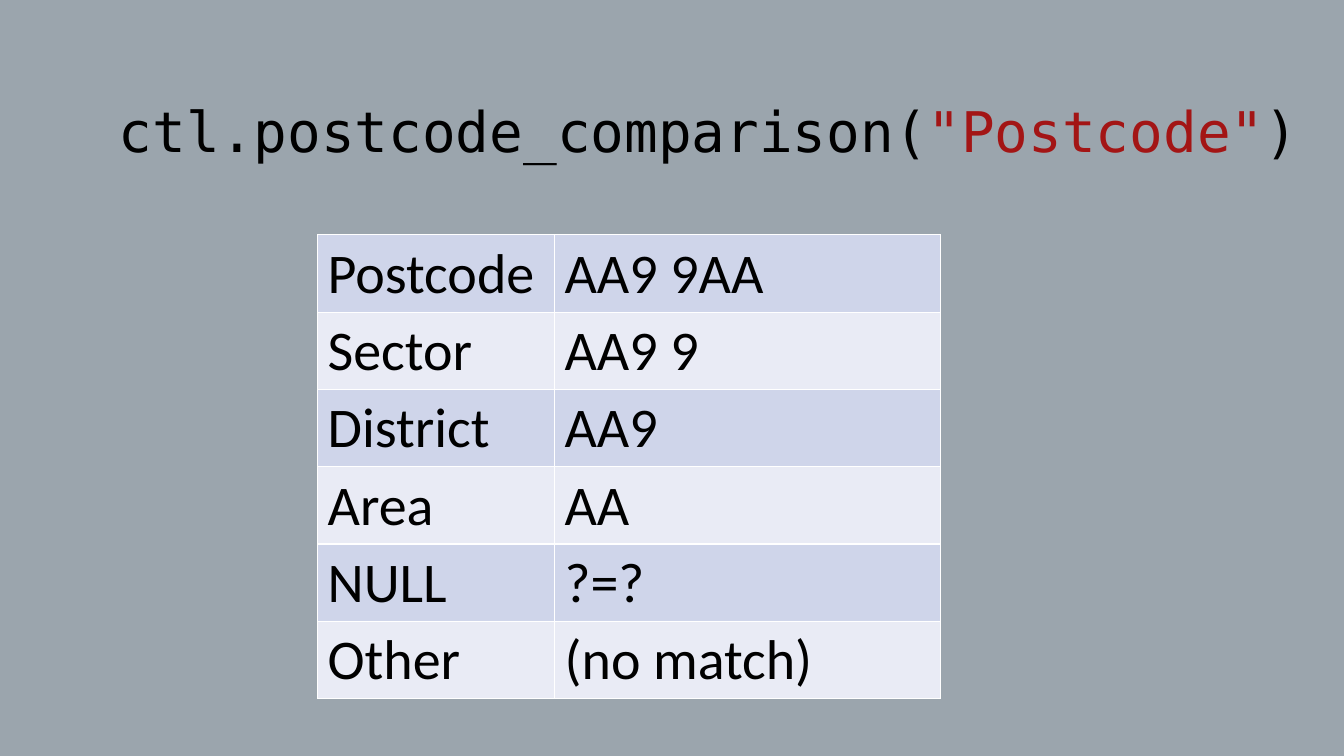
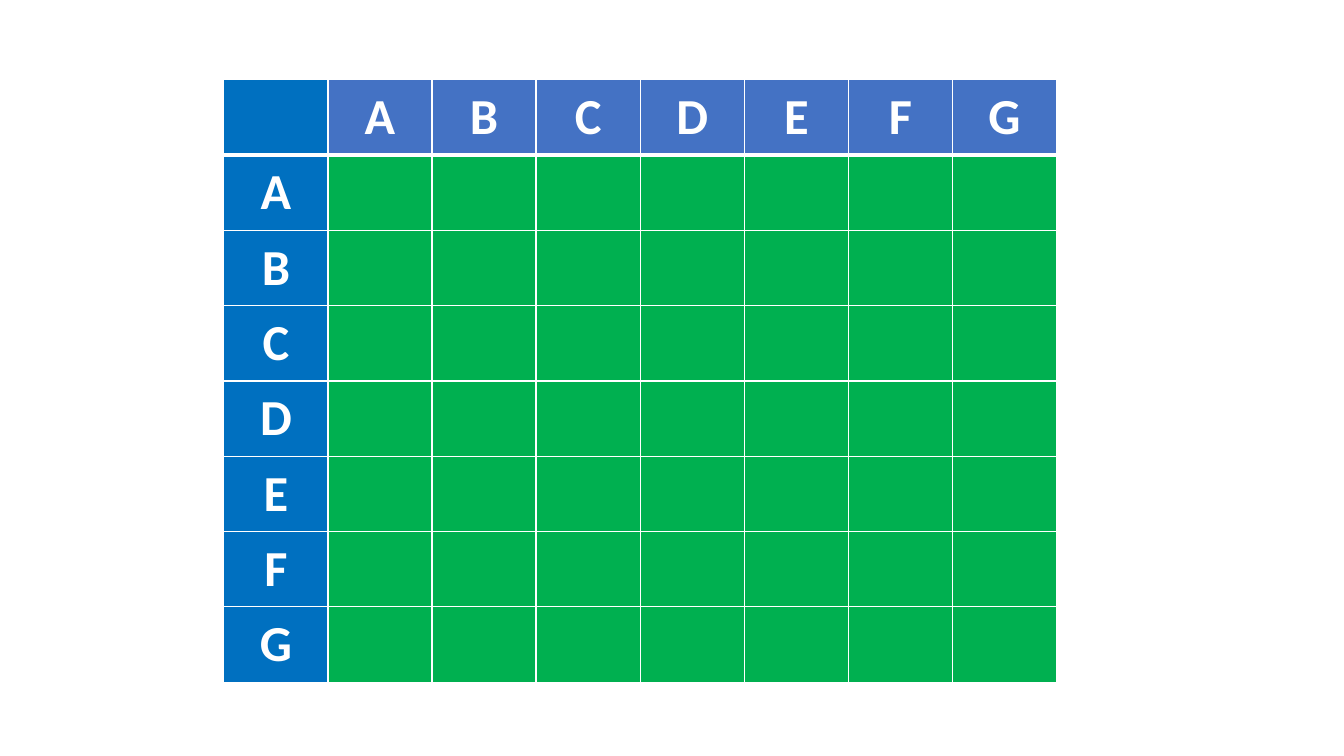
from typing import NamedTuple

from lxml.etree import SubElement as Sub
from pptx import Presentation
from pptx.dml.color import RGBColor as RGB
from pptx.enum.text import MSO_ANCHOR as Anchor
from pptx.enum.text import MSO_AUTO_SIZE as Fit
from pptx.enum.text import PP_ALIGN as Align
from pptx.oxml.ns import qn
from pptx.util import Inches, Pt

BLACK = RGB(0x00, 0x00, 0x00)
WHITE = RGB(0xFF, 0xFF, 0xFF)
GREY = RGB(0x9B, 0xA5, 0xAD)
RED = RGB(0xA3, 0x15, 0x15)
BANDS = RGB(0xCF, 0xD5, 0xEA), RGB(0xE9, 0xEB, 0xF5)
HEAD = RGB(0x44, 0x72, 0xC4)
SIDE = RGB(0x00, 0x70, 0xC0)
GREEN = RGB(0x00, 0xB0, 0x50)

SANS = "Calibri"
MONO = "DejaVu Sans Mono"
TITLE_ONLY, BLANK = 5, 6


class Cell(NamedTuple):
    text: str
    fill: RGB


class Style(NamedTuple):
    size: int
    color: RGB
    bold: bool = False
    align: Align = Align.LEFT
    anchor: Anchor = Anchor.TOP
    rule: int = 1  # width in points of the line below the first row


class Grid(NamedTuple):
    left: float
    top: float
    height: float
    cols: list[float]
    rows: list[list[Cell]]
    style: Style


def add_slide(deck, layout: int, color: RGB):
    slide = deck.slides.add_slide(deck.slide_layouts[layout])
    slide.background.fill.solid()
    slide.background.fill.fore_color.rgb = color
    return slide


def add_title(slide, parts: list[tuple[str, RGB]]) -> None:
    title = slide.shapes.title
    title.left, title.top = Inches(1.08), Inches(0.91)
    title.width, title.height = Inches(12.25), Inches(0.77)
    frame = title.text_frame
    frame.auto_size = Fit.SHAPE_TO_FIT_TEXT
    frame.vertical_anchor = Anchor.TOP
    para = frame.paragraphs[0]
    para.alignment = Align.LEFT
    para.font.name, para.font.size = MONO, Pt(40)
    for text, color in parts:
        run = para.add_run()
        run.text = text
        run.font.color.rgb = color


def add_edges(cell, top: int, bottom: int) -> None:
    props = cell._tc.get_or_add_tcPr()
    for side, width in zip("LRTB", (1, 1, top, bottom)):
        line = Sub(props, qn(f"a:ln{side}"), w=str(Pt(width)))
        Sub(Sub(line, qn("a:solidFill")), qn("a:srgbClr"), val=str(WHITE))


def fill_cell(cell, data: Cell, style: Style) -> None:
    cell.fill.solid()
    cell.fill.fore_color.rgb = data.fill
    if not data.text:
        return
    cell.text = data.text
    cell.vertical_anchor = style.anchor
    para = cell.text_frame.paragraphs[0]
    para.alignment = style.align
    font = para.font
    font.name, font.size, font.bold = SANS, Pt(style.size), style.bold
    font.color.rgb = style.color


def add_grid(slide, grid: Grid) -> None:
    count = len(grid.rows)
    table = slide.shapes.add_table(
        count, len(grid.cols), Inches(grid.left), Inches(grid.top),
        Inches(sum(grid.cols)), Inches(grid.height)).table
    table.first_row = table.horz_banding = False
    for col, width in zip(table.columns, grid.cols):
        col.width = Inches(width)
    for y, row in enumerate(grid.rows):
        table.rows[y].height = Inches(grid.height / count)
        top = grid.style.rule if y == 1 else 1
        bottom = grid.style.rule if y == 0 else 1
        for x, data in enumerate(row):
            cell = table.cell(y, x)
            add_edges(cell, top, bottom)
            fill_cell(cell, data, grid.style)


def add_levels(deck) -> None:
    slide = add_slide(deck, TITLE_ONLY, GREY)
    add_title(slide, [("ctl.postcode_comparison(", BLACK),
                      ('"Postcode"', RED), (")", BLACK)])
    levels = [
        ("Postcode", "AA9 9AA"),
        ("Sector", "AA9 9"),
        ("District", "AA9"),
        ("Area", "AA"),
        ("NULL", "?=?"),
        ("Other", "(no match)"),
    ]
    rows = [[Cell(text, BANDS[y % 2]) for text in level]
            for y, level in enumerate(levels)]
    add_grid(slide, Grid(3.15, 2.33, 4.6, [2.35, 3.83], rows,
                         Style(40, BLACK)))


def add_matrix(deck) -> None:
    slide = add_slide(deck, BLANK, WHITE)
    names = "ABCDEFG"
    rows = [[Cell("", SIDE)] + [Cell(name, HEAD) for name in names]]
    rows += [[Cell(name, SIDE)] + [Cell("", GREEN)] * len(names)
             for name in names]
    size = len(rows)
    style = Style(36, WHITE, True, Align.CENTER, Anchor.MIDDLE, 3)
    add_grid(slide, Grid(2.22, 0.79, 5.98, [8.26 / size] * size, rows, style))


def main() -> None:
    deck = Presentation()
    deck.slide_width, deck.slide_height = Inches(13.33), Inches(7.5)
    add_levels(deck)
    add_matrix(deck)
    deck.save("out.pptx")


if __name__ == "__main__":
    main()
